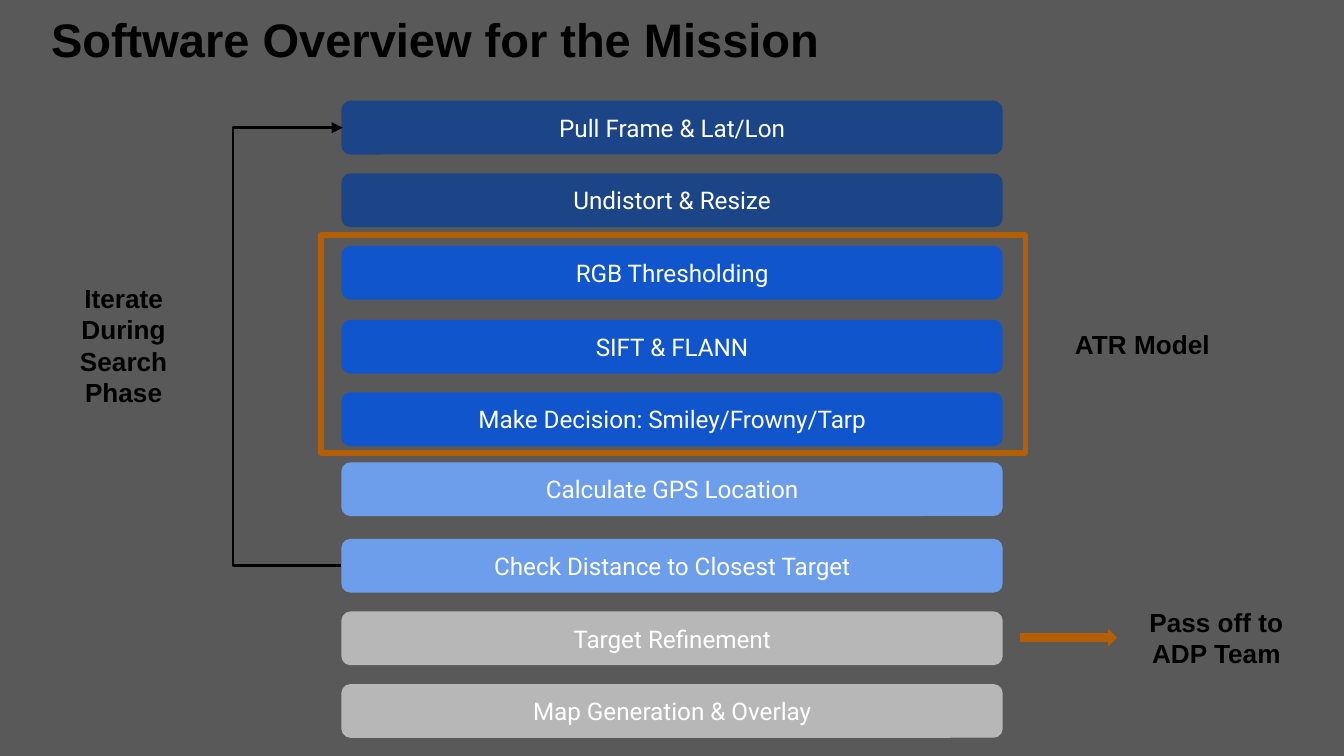
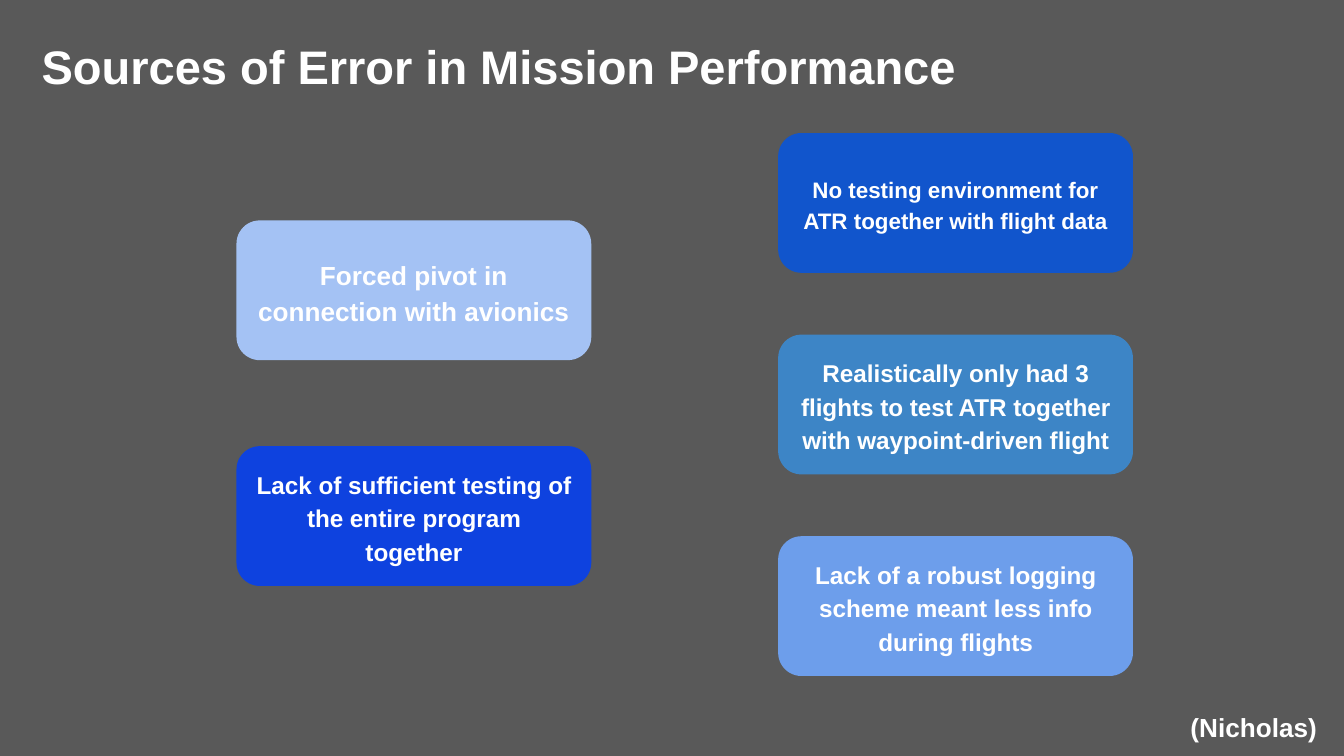
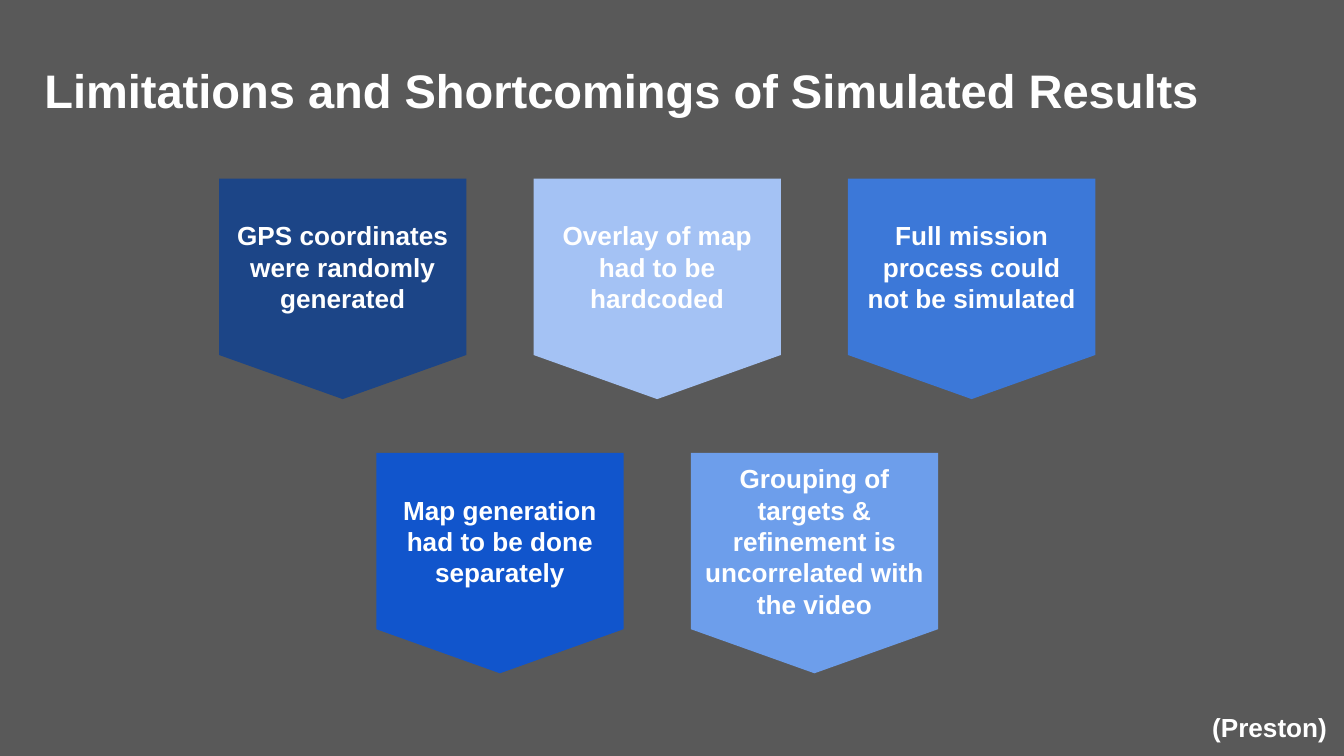
from lxml.etree import SubElement
from pptx import Presentation
from pptx.dml.color import RGBColor
from pptx.enum.shapes import MSO_CONNECTOR, MSO_SHAPE
from pptx.enum.text import MSO_ANCHOR, MSO_AUTO_SIZE, PP_ALIGN
from pptx.oxml.ns import qn
from pptx.util import Inches, Pt

BACKGROUND = "595959"
BLACK, WHITE = "000000", "FFFFFF"
NAVY, COBALT, ROYAL = "1C4587", "1155CC", "0E42DF"
AZURE, STEEL, SKY, PALE = "3C78D8", "3D85C6", "6D9EEB", "A4C2F4"
GRAY, ORANGE = "B7B7B7", "B45F06"
TITLE_ONLY = 5

STEP_HEIGHT = 0.4
STEPS = [
    ("Pull Frame & Lat/Lon", 0.0, NAVY),
    ("Undistort & Resize", 0.54, NAVY),
    ("RGB Thresholding", 1.08, COBALT),
    ("SIFT & FLANN", 1.63, COBALT),
    ("Make Decision: Smiley/Frowny/Tarp", 2.17, COBALT),
    ("Calculate GPS Location", 2.69, SKY),
    ("Check Distance to Closest Target", 3.26, SKY),
    ("Target Refinement", 3.8, GRAY),
    ("Map Generation & Overlay", 4.34, GRAY),
]
TEAM_ERRORS = [
    ("Forced pivot in connection with avionics", PALE, 14),
    ("Lack of sufficient testing of the entire program together", ROYAL, 13),
]
FLIGHT_ERRORS = [
    ("No testing environment for ATR together with flight data", COBALT, 12),
    ("Realistically only had 3 flights to test ATR together with waypoint-driven flight",
     STEEL, 13),
    ("Lack of a robust logging scheme meant less info during flights", SKY, 13),
]
LIMITATION_ROWS = [
    [("GPS coordinates were randomly generated", NAVY),
     ("Overlay of map had to be hardcoded", PALE),
     ("Full mission process could not be simulated", AZURE)],
    [("Map generation had to be done separately", COBALT),
     ("Grouping of targets & refinement is uncorrelated with the video", SKY)],
]


def rgb(color):
    return RGBColor.from_string(color)


def write(shape, text, size=14, font="Arial", color=WHITE, bold=True,
          align=PP_ALIGN.LEFT, anchor=MSO_ANCHOR.TOP, spacing=None, after=None):
    frame = shape.text_frame
    frame.word_wrap = True
    frame.auto_size = MSO_AUTO_SIZE.NONE
    frame.vertical_anchor = anchor
    frame.margin_left = frame.margin_right = Inches(0.1)
    frame.margin_top = frame.margin_bottom = Inches(0.1)
    para = frame.paragraphs[0]
    para.alignment = align
    para.line_spacing = spacing
    para.space_after = after
    span = para.add_run()
    span.text = text
    span.font.name, span.font.size, span.font.bold = font, Pt(size), bold
    span.font.color.rgb = rgb(color)


def place(box):
    return [Inches(length) for length in box]


def add_panel(page, kind, box, fill=None, outline=None, width=3):
    panel = page.shapes.add_shape(kind, *place(box))
    panel.shadow.inherit = False
    if fill:
        panel.fill.solid()
        panel.fill.fore_color.rgb = rgb(fill)
    else:
        panel.fill.background()
    if outline:
        panel.line.color.rgb = rgb(outline)
        panel.line.width = Pt(width)
    else:
        panel.line.fill.background()
    return panel


def add_card(page, kind, box, fill, text, **style):
    write(add_panel(page, kind, box, fill), text, align=PP_ALIGN.CENTER,
          anchor=MSO_ANCHOR.MIDDLE, **style)


def add_label(page, box, text, **style):
    write(page.shapes.add_textbox(*place(box)), text, **style)


def add_page(deck, title, left, top, color=WHITE):
    page = deck.slides.add_slide(deck.slide_layouts[TITLE_ONLY])
    heading = page.shapes.title
    heading.left, heading.top, heading.width, heading.height = place((left, top, 9.32, 0.63))
    write(heading, title, size=25.2, color=color)
    return page


def add_presenter(page, name, width):
    add_label(page, (10 - width, 5.19, width, 0.44), f"({name})")


def add_loop_arrow(page, x, top, bottom, reach):
    """Leave x at the bottom, run reach to the left and return to x at the top."""
    breadth = 0.01
    arrow = page.shapes.add_connector(
        MSO_CONNECTOR.ELBOW, *place((x + breadth, top, x, bottom)))
    arrow.line.color.rgb = rgb(BLACK)
    arrow.line.width = Pt(1.5)
    properties = arrow._element.spPr
    properties.find(qn("a:xfrm")).set("rot", "10800000")
    guides = properties.find(qn("a:prstGeom")).find(qn("a:avLst"))
    SubElement(guides, qn("a:gd"), name="adj1",
               fmla=f"val {round(-reach / breadth * 100000)}")
    SubElement(arrow.line._get_or_add_ln(), qn("a:tailEnd"), type="triangle")
    SubElement(properties, qn("a:effectLst"))


def add_steps(page, left, top, width):
    for text, offset, fill in STEPS:
        add_card(page, MSO_SHAPE.ROUNDED_RECTANGLE,
                 (left, top + offset, width, STEP_HEIGHT), fill, text,
                 size=13, font="Roboto", bold=False)
    middle = top + STEP_HEIGHT / 2
    add_loop_arrow(page, left, middle, middle + STEPS[6][1], 0.82)
    add_panel(page, MSO_SHAPE.RECTANGLE,
              (left - 0.15, top + 1, width + 0.32, 1.62), outline=ORANGE)
    add_panel(page, MSO_SHAPE.RIGHT_ARROW,
              (left + width + 0.13, top + 3.93, 0.72, 0.13), ORANGE)


def add_overview(deck):
    page = add_page(deck, "Software Overview for the Mission", 0.28, -0.02, BLACK)
    add_steps(page, 2.54, 0.75, 4.92)
    add_label(page, (7.9, 2.34, 1.22, 0.44), "ATR Model", color=BLACK)
    for box, text in [((0.31, 2, 1.22, 1.14), "Iterate During Search Phase"),
                      ((8.44, 4.41, 1.22, 0.67), "Pass off to ADP Team")]:
        add_label(page, box, text, color=BLACK, align=PP_ALIGN.CENTER)


def add_error_column(page, left, top, pitch, errors):
    for row, (text, fill, size) in enumerate(errors):
        add_card(page, MSO_SHAPE.ROUNDED_RECTANGLE,
                 (left, top + row * pitch, 2.64, 1.04), fill, text,
                 size=size, spacing=1.15, after=Pt(12))


def add_errors(deck):
    page = add_page(deck, "Sources of Error in Mission Performance", 0.21, 0.18)
    add_error_column(page, 1.76, 1.64, 1.68, TEAM_ERRORS)
    add_error_column(page, 5.79, 0.99, 1.5, FLIGHT_ERRORS)
    add_presenter(page, "Nicholas", 1.24)


def add_limitation_grid(page, left, top, pitch_x=2.34, pitch_y=2.04):
    for row, limitations in enumerate(LIMITATION_ROWS):
        for column, (text, fill) in enumerate(limitations):
            x = left + (column + row / 2) * pitch_x
            add_card(page, MSO_SHAPE.FLOWCHART_OFFPAGE_CONNECTOR,
                     (x, top + row * pitch_y, 1.84, 1.64), fill, text)


def add_limitations(deck):
    page = add_page(deck, "Limitations and Shortcomings of Simulated Results", 0.23, 0.36)
    add_limitation_grid(page, 1.63, 1.33)
    add_presenter(page, "Preston", 1.08)


def main():
    deck = Presentation()
    deck.slide_width, deck.slide_height = Inches(10), Inches(5.625)
    backdrop = deck.slide_master.background.fill
    backdrop.solid()
    backdrop.fore_color.rgb = rgb(BACKGROUND)
    add_overview(deck)
    add_errors(deck)
    add_limitations(deck)
    deck.save("out.pptx")


if __name__ == "__main__":
    main()
